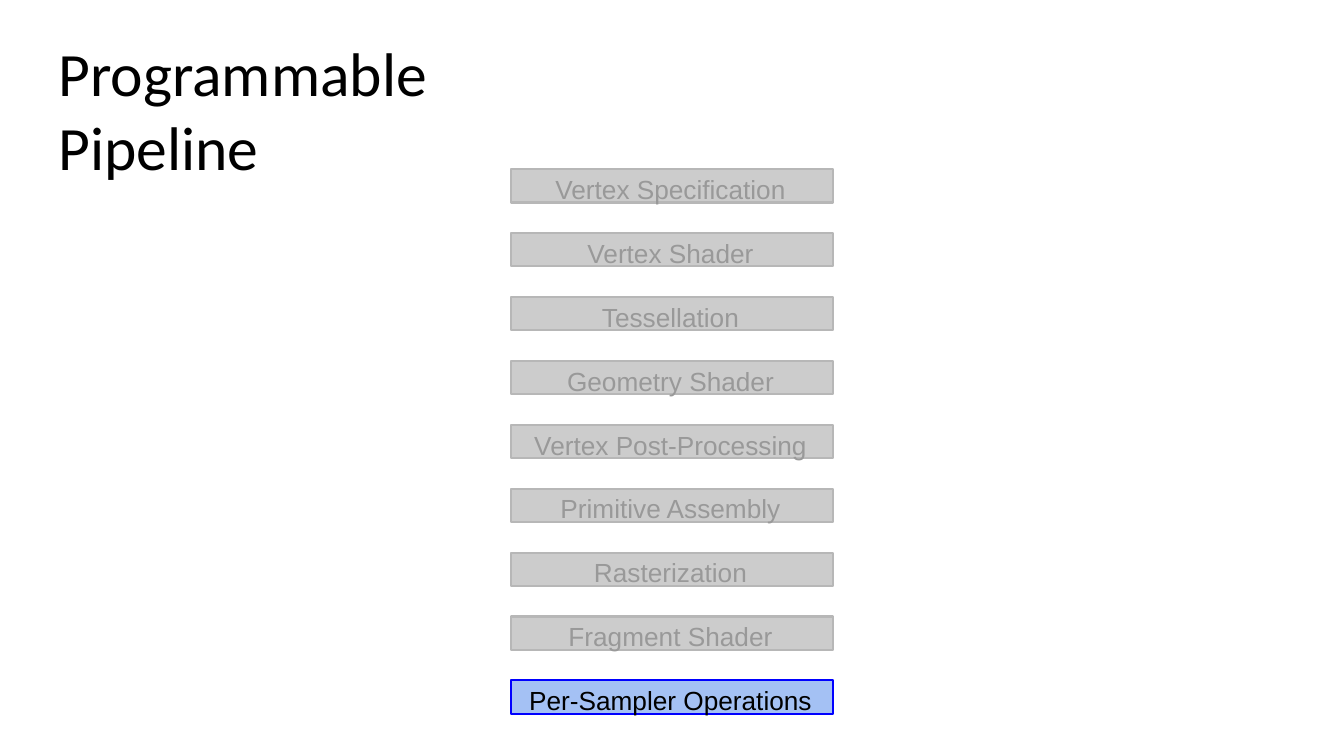
from dataclasses import dataclass

import pptx
import pptx.dml.color
import pptx.enum.shapes
import pptx.enum.text
import pptx.util


@dataclass(frozen=True)
class Theme:
    title_font: str = "Calibri"
    stage_font: str = "Arial"
    title_size: float = 44
    stage_size: float = 18.7
    line_width: float = 1.5
    ink: str = "000000"
    muted: tuple = ("CCCCCC", "B7B7B7", "999999")
    active: tuple = ("A4C1F4", "0000FF", "000000")


@dataclass(frozen=True)
class Box:
    left: float
    top: float
    width: float
    height: float

    def lengths(self):
        sides = (self.left, self.top, self.width, self.height)
        return [pptx.util.Inches(side) for side in sides]


THEME = Theme()
SLIDE = Box(0, 0, 13.33, 7.5)
STAGES = (
    "Vertex Specification",
    "Vertex Shader",
    "Tessellation",
    "Geometry Shader",
    "Vertex Post-Processing",
    "Primitive Assembly",
    "Rasterization",
    "Fragment Shader",
    "Per-Sampler Operations",
)
ACTIVE_STAGE = "Per-Sampler Operations"
STAGE_HEIGHT = 0.33


def color(code):
    return pptx.dml.color.RGBColor.from_string(code)


def write(frame, text, font, size, ink, align, anchor, insets):
    frame.word_wrap = True
    frame.auto_size = pptx.enum.text.MSO_AUTO_SIZE.NONE
    frame.vertical_anchor = anchor
    (frame.margin_left, frame.margin_top, frame.margin_right,
     frame.margin_bottom) = [pptx.util.Inches(inset) for inset in insets]
    para = frame.paragraphs[0]
    para.alignment = align
    para.line_spacing = 1.0
    span = para.add_run()
    span.text = text
    span.font.name = font
    span.font.size = pptx.util.Pt(size)
    span.font.color.rgb = color(ink)


def add_title(page, box, text):
    title = page.shapes.title
    title.left, title.top, title.width, title.height = box.lengths()
    write(title.text_frame, text, THEME.title_font, THEME.title_size, THEME.ink,
          pptx.enum.text.PP_ALIGN.LEFT, pptx.enum.text.MSO_ANCHOR.MIDDLE,
          (0.02, 0.04, 0, 0))


def add_stage(page, box, text, colors):
    fill, line, ink = colors
    stage = page.shapes.add_shape(
        pptx.enum.shapes.MSO_SHAPE.RECTANGLE, *box.lengths())
    stage.shadow.inherit = False
    stage.fill.solid()
    stage.fill.fore_color.rgb = color(fill)
    stage.line.color.rgb = color(line)
    stage.line.width = pptx.util.Pt(THEME.line_width)
    write(stage.text_frame, text, THEME.stage_font, THEME.stage_size, ink,
          pptx.enum.text.PP_ALIGN.CENTER, pptx.enum.text.MSO_ANCHOR.TOP,
          (0, 0.04, 0.03, 0))


def add_pipeline(page, box, stages, active):
    pitch = (box.height - STAGE_HEIGHT) / (len(stages) - 1)
    for row, text in enumerate(stages):
        stage_box = Box(box.left, box.top + row * pitch, box.width, STAGE_HEIGHT)
        add_stage(page, stage_box, text,
                  THEME.active if text == active else THEME.muted)


def main():
    deck = pptx.Presentation()
    deck.slide_width, deck.slide_height = SLIDE.lengths()[2:]
    page = deck.slides.add_slide(deck.slide_layouts[5])
    title_box = Box(0.56, 0.31, 5.41, SLIDE.height / 5)
    pipeline_box = Box(SLIDE.width * 0.38, 1.68, SLIDE.width * 0.24, SLIDE.height * 0.72)
    add_title(page, title_box, "Programmable Pipeline")
    add_pipeline(page, pipeline_box, STAGES, ACTIVE_STAGE)
    deck.save("out.pptx")


if __name__ == "__main__":
    main()
